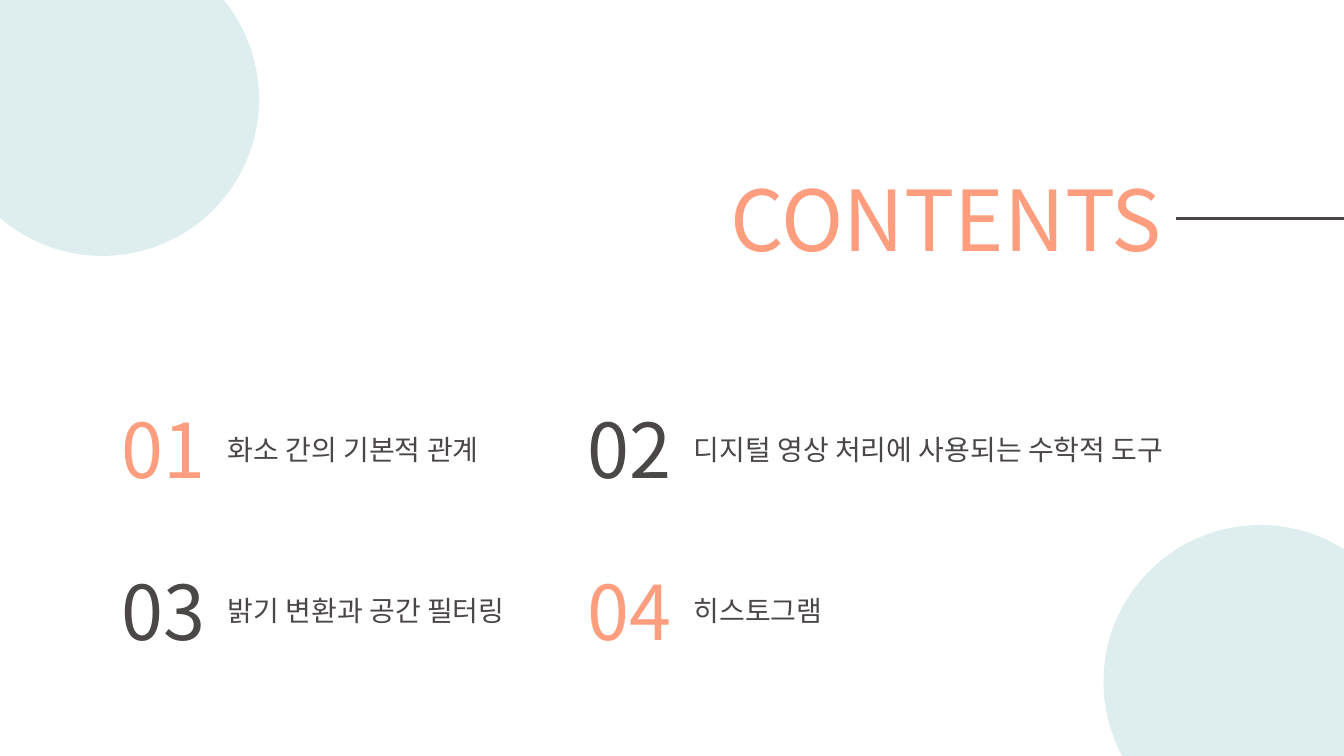
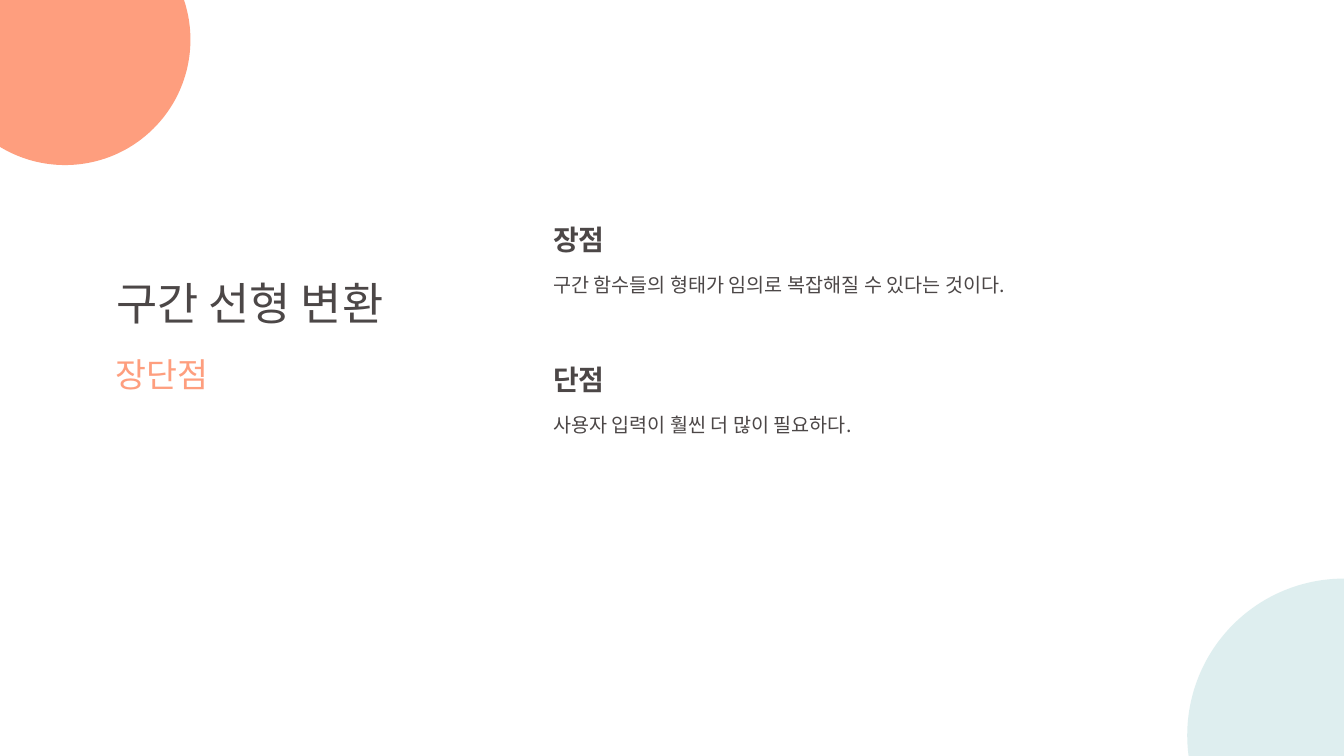
from lxml import etree
from pptx import Presentation
from pptx.dml.color import RGBColor
from pptx.enum.shapes import MSO_CONNECTOR, MSO_SHAPE
from pptx.enum.text import MSO_ANCHOR, MSO_AUTO_SIZE, PP_ALIGN
from pptx.oxml.ns import qn
from pptx.util import Cm, Pt

FONT = "Noto Sans CJK KR"
CORAL, DARK, MINT = "FE9E7E", "4C4747", "C8E4E5"
color = RGBColor.from_string


def write(box, text, left, top, width, height, size, hue, bold=False):
    box.left, box.top, box.width, box.height = Cm(left), Cm(top), Cm(width), Cm(height)
    frame = box.text_frame
    frame.text = text
    frame.word_wrap = False
    frame.auto_size = MSO_AUTO_SIZE.SHAPE_TO_FIT_TEXT
    frame.vertical_anchor = MSO_ANCHOR.TOP
    para = frame.paragraphs[0]
    para.alignment = PP_ALIGN.LEFT
    para.line_spacing = 1.0
    span = para.runs[0]
    span.font.name = FONT
    span.font.size = Pt(size)
    span.font.bold = bold
    span.font.color.rgb = color(hue)
    etree.SubElement(span.font._element, qn("a:ea"), typeface=FONT)


def add_circle(page, left, top, diameter, hue, opacity=100):
    circle = page.shapes.add_shape(MSO_SHAPE.OVAL, Cm(left), Cm(top), Cm(diameter), Cm(diameter))
    circle.shadow.inherit = False
    circle.line.fill.background()
    circle.fill.solid()
    circle.fill.fore_color.rgb = color(hue)
    if opacity < 100:
        tint = circle._element.spPr.find(f".//{qn('a:srgbClr')}")
        etree.SubElement(tint, qn("a:alpha"), val=str(opacity * 1000))


deck = Presentation()
deck.slide_width, deck.slide_height = Cm(33.87), Cm(19.05)
title_only = deck.slide_layouts[5]

page = deck.slides.add_slide(title_only)
title = page.shapes.title
write(title, "CONTENTS", 18.16, 4.09, 11.48, 2.82, 60, CORAL)
rule = page.shapes.add_connector(MSO_CONNECTOR.STRAIGHT, Cm(29.64), Cm(5.5), deck.slide_width, Cm(5.5))
rule.begin_connect(title, 3)
rule.line.color.rgb = color(DARK)
rule.line.width = Pt(2.25)
etree.SubElement(rule._element.spPr, qn("a:effectLst"))
add_circle(page, -1.37, -1.45, 7.9, MINT, 60)
add_circle(page, 27.81, 13.23, 7.9, MINT, 60)

chapters = [
    ("화소 간의 기본적 관계", 7.67, CORAL),
    ("디지털 영상 처리에 사용되는 수학적 도구", 13.87, DARK),
    ("밝기 변환과 공간 필터링", 8.38, DARK),
    ("히스토그램", 4.06, CORAL),
]
for index, (chapter, width, hue) in enumerate(chapters):
    row, column = divmod(index, 2)
    left = 2.82 + column * 11.74
    top = 10.03 + row * 4.07
    number = page.shapes.add_textbox(0, 0, 0, 0)
    write(number, f"{index + 1:02}", left, top, 2.67, 2.57, 54, hue)
    label = page.shapes.add_textbox(0, 0, 0, 0)
    write(label, chapter, left + 2.67, top + 0.74, width, 1.12, 20, DARK)

page = deck.slides.add_slide(title_only)
add_circle(page, -1.52, -2.16, 6.32, CORAL)
write(page.shapes.title, "구간 선형 변환", 2.67, 6.83, 8.15, 1.63, 32, DARK)
subtitle = page.shapes.add_textbox(0, 0, 0, 0)
write(subtitle, "장단점", 2.67, 8.79, 3.07, 1.27, 24, CORAL)
add_circle(page, 29.92, 14.58, 7.9, MINT, 60)

points = [
    ("장점", "구간 함수들의 형태가 임의로 복잡해질 수 있다는 것이다.", 13.31),
    ("단점", "사용자 입력이 훨씬 더 많이 필요하다.", 8.97),
]
for index, (name, sentence, width) in enumerate(points):
    top = 5.49 + index * 3.53
    heading = page.shapes.add_textbox(0, 0, 0, 0)
    write(heading, name, 13.69, top, 1.93, 1.12, 20, DARK, bold=True)
    body = page.shapes.add_textbox(0, 0, 0, 0)
    write(body, sentence, 13.69, top + 1.27, width, 0.86, 14, DARK)

deck.save("out.pptx")
